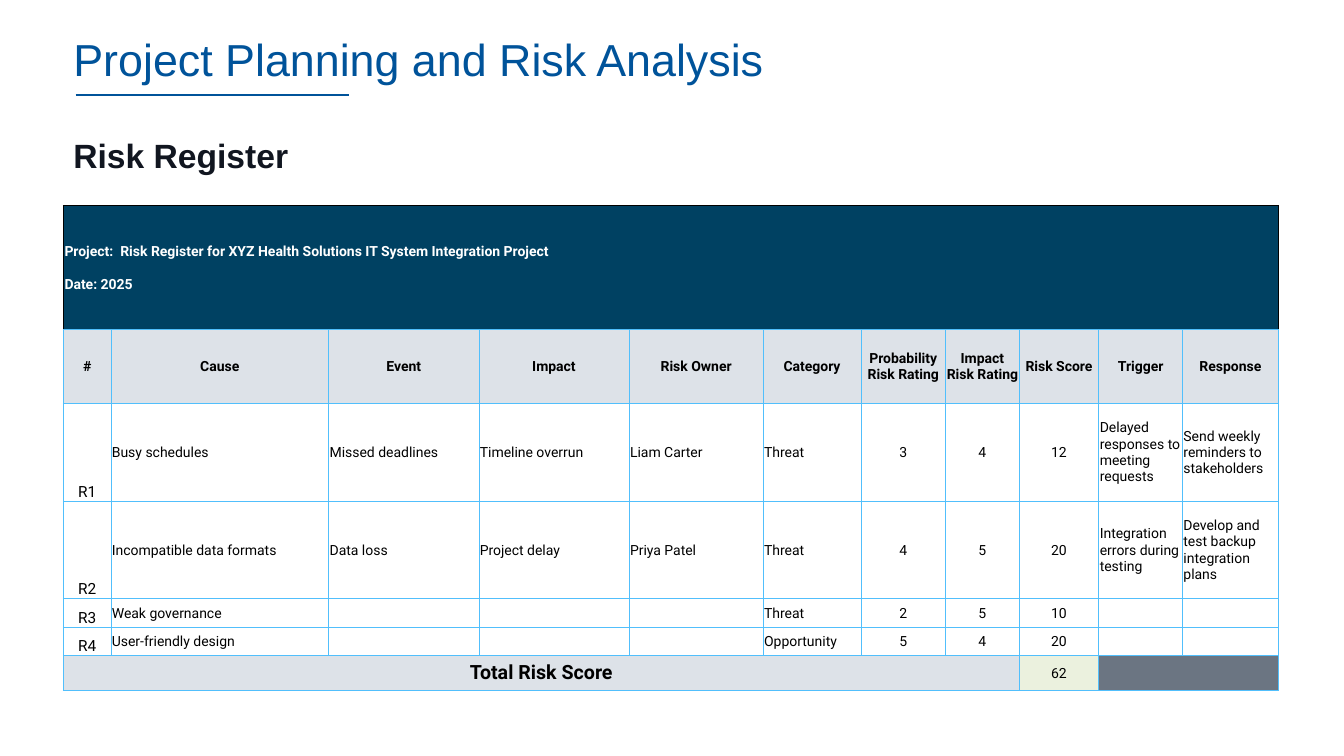
from dataclasses import dataclass

from lxml import etree
from pptx import Presentation
from pptx.dml.color import RGBColor
from pptx.enum import shapes, text
from pptx.oxml import ns
from pptx.util import Inches, Pt


@dataclass(frozen=True)
class Theme:
    blue: str = "00539A"
    ink: str = "111620"
    navy: str = "004162"
    pale: str = "DDE2E8"
    green: str = "EBF1DE"
    slate: str = "6B7582"
    edge: str = "51BFFC"
    black: str = "000000"
    white: str = "FFFFFF"
    head: str = "Arial"
    body: str = "Roboto"
    title: float = 32
    sub: float = 24
    total: float = 14
    label: float = 11
    small: float = 10
    thick: float = 1
    thin: float = 0.5
    rule: float = 1.5


@dataclass(frozen=True)
class Risk:
    cause: str
    event: str
    impact: str
    owner: str
    kind: str
    odds: int
    harm: int
    cue: str
    reply: str

    @property
    def score(self) -> int:
        return self.odds * self.harm

    def cells(self, key: str) -> list[str]:
        return [key, self.cause, self.event, self.impact, self.owner, self.kind,
                str(self.odds), str(self.harm), str(self.score), self.cue, self.reply]


T = Theme()
LEFT, MID = text.PP_ALIGN.LEFT, text.PP_ALIGN.CENTER
WIDTHS = [0.47, 2.16, 1.49, 1.49, 1.33, 0.97, 0.84, 0.73, 0.79, 0.83, 0.95]
HEIGHTS = [1.23, 0.73, 0.97, 0.97, 0.28, 0.28, 0.35]
HEADS = ["#", "Cause", "Event", "Impact", "Risk Owner", "Category",
         "Probability Risk Rating", "Impact Risk Rating", "Risk Score",
         "Trigger", "Response"]
RISKS = [
    Risk("Busy schedules", "Missed deadlines", "Timeline overrun", "Liam Carter",
         "Threat", 3, 4, "Delayed responses to meeting requests",
         "Send weekly reminders to stakeholders"),
    Risk("Incompatible data formats", "Data loss", "Project delay", "Priya Patel",
         "Threat", 4, 5, "Integration errors during testing",
         "Develop and test backup integration plans"),
    Risk("Weak governance", "", "", "", "Threat", 2, 5, "", ""),
    Risk("User-friendly design", "", "", "", "Opportunity", 5, 4, "", ""),
]
CENTRED = {0, 6, 7, 8}
SCORE = 8


def write(frame, *lines: str, size: float = T.small, font: str = T.body,
          color: str = T.black, bold: bool = False, align=LEFT,
          line: float = 1.0, gap: float = 0) -> None:
    frame.word_wrap = True
    for i, words in enumerate(lines):
        para = frame.add_paragraph() if i else frame.paragraphs[0]
        para.alignment = align
        para.line_spacing = line
        if i:
            para.space_before = Pt(gap)
        if not words:
            etree.SubElement(para._p, ns.qn("a:endParaRPr"), sz=str(int(size * 100)))
            continue
        run = para.add_run()
        run.text = words
        run.font.size = Pt(size)
        run.font.name = font
        run.font.bold = bold
        run.font.color.rgb = RGBColor.from_string(color)


def label(slide, words: str, box: tuple, anchor, **style) -> None:
    frame = slide.shapes.add_textbox(*map(Inches, box)).text_frame
    frame.vertical_anchor = anchor
    write(frame, words, font=T.head, line=0.9, **style)


def border(cell, side: str, color: str, width: float) -> None:
    props = cell._tc.get_or_add_tcPr()
    edge = etree.SubElement(props, ns.qn(f"a:ln{side}"), w=str(Pt(width)))
    fill = etree.SubElement(edge, ns.qn("a:solidFill"))
    etree.SubElement(fill, ns.qn("a:srgbClr"), val=color)


def paint(cell, row: int, col: int, fill: str) -> None:
    last, end = len(HEIGHTS) - 1, len(WIDTHS) - 1
    outer = {"L": col == 0, "R": col == end, "T": row < 2, "B": row in (0, last)}
    for side, thick in outer.items():
        color = T.black if row == 0 and side != "B" else T.edge
        border(cell, side, color, T.thick if thick else T.thin)
    cell.fill.solid()
    cell.fill.fore_color.rgb = RGBColor.from_string(fill)
    cell.margin_left = cell.margin_top = cell.margin_right = Inches(0.01)
    cell.margin_bottom = 0
    low = col == 0 and 1 < row < last
    cell.vertical_anchor = text.MSO_ANCHOR.BOTTOM if low else text.MSO_ANCHOR.MIDDLE


def shade(row: int, col: int) -> str:
    if row == 0:
        return T.navy
    if row == len(HEIGHTS) - 1 and col >= SCORE:
        return T.green if col == SCORE else T.slate
    return T.pale if row in (1, len(HEIGHTS) - 1) else T.white


def register(slide) -> None:
    last, end = len(HEIGHTS) - 1, len(WIDTHS) - 1
    grid = slide.shapes.add_table(
        len(HEIGHTS), len(WIDTHS), Inches(0.63), Inches(2.04),
        Inches(sum(WIDTHS)), Inches(sum(HEIGHTS))).table
    grid.first_row = grid.horz_banding = False
    for col, width in zip(grid.columns, WIDTHS):
        col.width = Inches(width)
    for row, height in zip(grid.rows, HEIGHTS):
        row.height = Inches(height)
    for r in range(len(HEIGHTS)):
        for c in range(len(WIDTHS)):
            paint(grid.cell(r, c), r, c, shade(r, c))
    for r, start, stop in ((0, 0, end), (last, 0, SCORE - 1), (last, SCORE + 1, end)):
        grid.cell(r, start).merge(grid.cell(r, stop))

    write(grid.cell(0, 0).text_frame,
          "Project:  Risk Register for XYZ Health Solutions IT System Integration Project",
          "Date: 2025", color=T.white, bold=True, gap=12)
    for c, words in enumerate(HEADS):
        write(grid.cell(1, c).text_frame, words, bold=True, align=MID)
    for i, risk in enumerate(RISKS, 1):
        for c, words in enumerate(risk.cells(f"R{i}")):
            write(grid.cell(i + 1, c).text_frame, words,
                  size=T.small if c else T.label,
                  align=MID if c in CENTRED else LEFT)
    write(grid.cell(last, 0).text_frame, "Total Risk Score",
          size=T.total, bold=True, align=MID)
    write(grid.cell(last, SCORE).text_frame,
          str(sum(risk.score for risk in RISKS)), align=MID)
    write(grid.cell(last, SCORE + 1).text_frame, "")


def main() -> None:
    deck = Presentation()
    deck.slide_width, deck.slide_height = Inches(13.33), Inches(7.5)
    slide = deck.slides.add_slide(deck.slide_layouts[6])
    rule = slide.shapes.add_connector(
        shapes.MSO_CONNECTOR.STRAIGHT, Inches(0.75), Inches(0.94),
        Inches(3.46), Inches(0.94))
    rule.line.color.rgb = RGBColor.from_string(T.blue)
    rule.line.width = Pt(T.rule)
    etree.SubElement(rule._element.spPr, ns.qn("a:effectLst"))
    label(slide, "Project Planning and Risk Analysis", (0.63, 0.15, 10.73, 0.93),
          text.MSO_ANCHOR.MIDDLE, size=T.title, color=T.blue)
    label(slide, "Risk Register", (0.63, 1.33, 11.66, 4.93),
          text.MSO_ANCHOR.TOP, size=T.sub, color=T.ink, bold=True)
    register(slide)
    deck.save("out.pptx")


if __name__ == "__main__":
    main()
